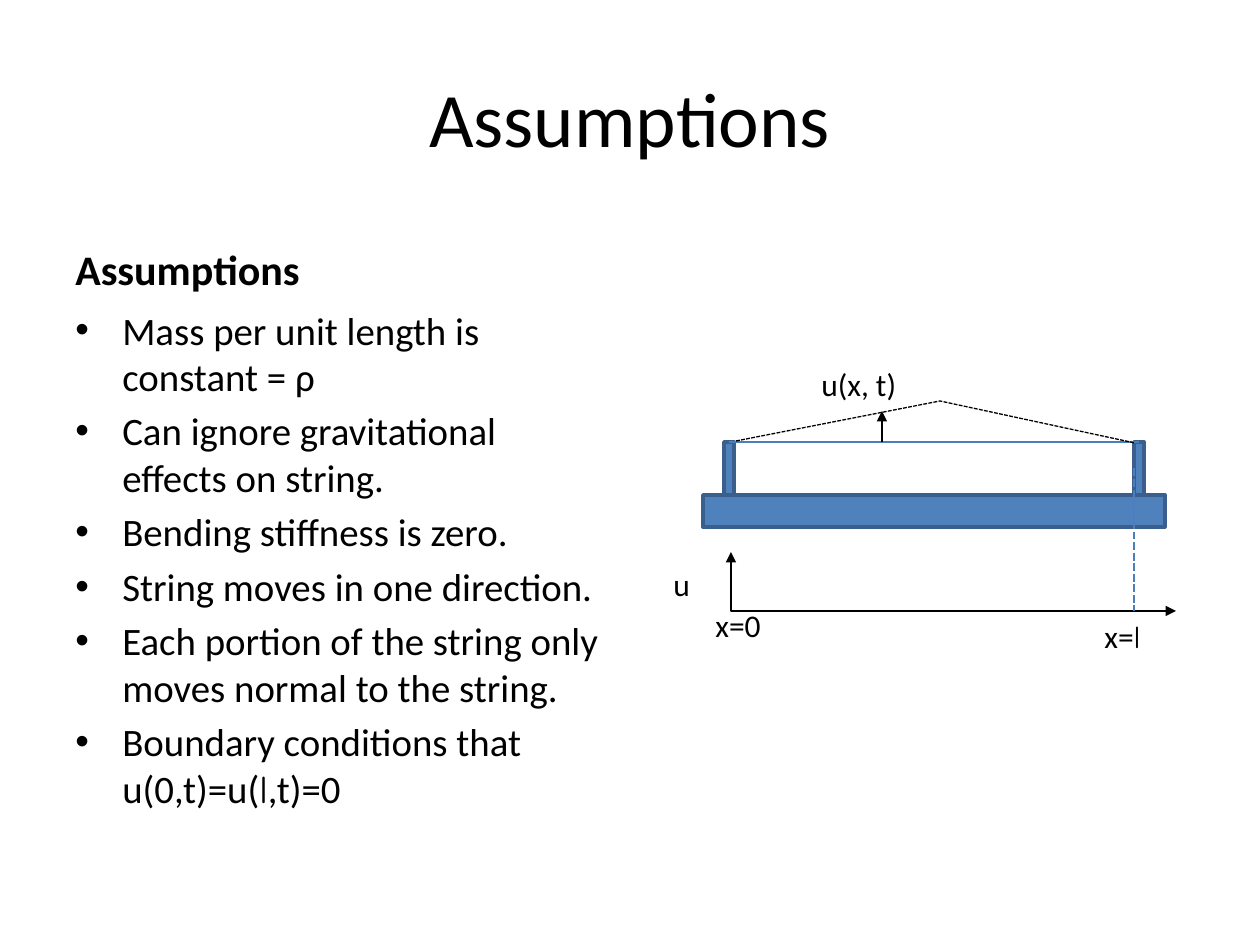
from pptx import Presentation
from pptx import util as u
from pptx.dml.color import RGBColor
from pptx.enum import dml, shapes, text
from pptx.oxml.ns import qn
from lxml import etree

PX = 914400 // 126
COLORS = {"ink": "000000", "steel": "4F81BD", "edge": "3A5F8C", "string": "4B7EBC"}
MAIN, SCRIPT = "Calibri", "Comic Neue"

# A paragraph is a list of (words, font) spans.
TITLE = [("Assumptions", MAIN)]
BULLETS = [
    [("Mass per unit length is constant = ρ", MAIN)],
    [("Can ignore gravitational effects on string.", MAIN)],
    [("Bending stiffness is zero.", MAIN)],
    [("String moves in one direction.", MAIN)],
    [("Each portion of the string only moves normal to the string.", MAIN)],
    [("Boundary conditions that u(0,t)=u(", MAIN), ("l", SCRIPT), (",t)=0", MAIN)],
]
LABELS = [
    ((703, 600, 84, 50), [("x=0", MAIN)]),
    ((1092, 611, 84, 50), [("x=", MAIN), ("l", SCRIPT)]),
    ((809, 359, 126, 50), [("u(x, t)", MAIN)]),
    ((661, 559, 63, 50), [("u", MAIN)]),
]
BASE = (703, 495, 462, 32)
POST_LEFTS, POST_TOP, POST_WIDTH, POST_HEIGHT = (724, 1134), 442, 10, 53
PLUCKED = [(736, 441), (940, 401), (1135, 443)]
AXES = [(731, 552), (731, 611), (1176, 611)]
ARROW_X, ARROW_TIP = 882, 411

deck = Presentation()
deck.slide_width, deck.slide_height = 1260 * PX, 945 * PX
page = deck.slides.add_slide(deck.slide_layouts[6])


def color(name):
    return RGBColor.from_string(COLORS[name])


def add_text(place, paragraphs, size=18, bold=False, align=text.PP_ALIGN.LEFT,
             anchor=text.MSO_ANCHOR.TOP, before=0, bullet=False):
    box = page.shapes.add_textbox(*(n * PX for n in place))
    frame = box.text_frame
    frame.word_wrap = True
    frame.vertical_anchor = anchor
    for index, spans in enumerate(paragraphs):
        para = frame.paragraphs[0] if index == 0 else frame.add_paragraph()
        para.alignment = align
        para.space_before = u.Pt(before)
        if bullet:
            props = para._p.get_or_add_pPr()
            props.set("marL", str(47 * PX))
            props.set("indent", str(-47 * PX))
            etree.SubElement(props, qn("a:buFont")).set("typeface", "Arial")
            etree.SubElement(props, qn("a:buChar")).set("char", "•")
        for words, font in spans:
            span = para.add_run()
            span.text = words
            span.font.name = font
            span.font.size = u.Pt(size)
            span.font.bold = bold
            span.font.color.rgb = color("ink")


def add_block(*place):
    block = page.shapes.add_shape(shapes.MSO_SHAPE.RECTANGLE, *(n * PX for n in place))
    block.shadow.inherit = False
    block.fill.solid()
    block.fill.fore_color.rgb = color("steel")
    style_line(block, "edge", 2)
    return block


def style_line(item, name, width=0.75, dashed=False, arrows=()):
    """Set the outline; arrows holds headEnd (start) and tailEnd (finish)."""
    item.line.color.rgb = color(name)
    item.line.width = u.Pt(width)
    if dashed:
        item.line.dash_style = dml.MSO_LINE.SQUARE_DOT
    for end in arrows:
        etree.SubElement(item.line._get_or_add_ln(), qn("a:" + end)).set("type", "triangle")


def add_line(start, finish, name, **style):
    line = page.shapes.add_connector(
        shapes.MSO_CONNECTOR.STRAIGHT, *(n * PX for n in start + finish))
    style_line(line, name, **style)
    etree.SubElement(line._element.spPr, qn("a:effectLst"))
    return line


def add_polyline(points, **style):
    (left, top), *rest = points
    builder = page.shapes.build_freeform(left, top, scale=PX)
    builder.add_line_segments(rest, close=False)
    outline = builder.convert_to_shape()
    outline.shadow.inherit = False
    outline.fill.background()
    style_line(outline, "ink", **style)


add_text((63, 38, 1134, 158), [TITLE], size=44, align=text.PP_ALIGN.CENTER,
         anchor=text.MSO_ANCHOR.MIDDLE)
add_text((63, 212, 557, 88), [TITLE], size=24, bold=True,
         anchor=text.MSO_ANCHOR.BOTTOM, before=4.8)
add_text((63, 300, 557, 544), BULLETS, size=22.2, before=4.4, bullet=True)

add_block(*BASE)
left_post, right_post = [
    add_block(left, POST_TOP, POST_WIDTH, POST_HEIGHT) for left in POST_LEFTS]

post_tops = [(left + POST_WIDTH // 2, POST_TOP) for left in POST_LEFTS]
rest_string = add_line(*post_tops, "string")
rest_string.begin_connect(left_post, 0)
rest_string.end_connect(right_post, 0)
add_polyline(PLUCKED, dashed=True)
add_line((ARROW_X, POST_TOP), (ARROW_X, ARROW_TIP), "ink", arrows=["tailEnd"])
add_polyline(AXES, arrows=["headEnd", "tailEnd"])

end_x, axis_y = POST_LEFTS[1], AXES[1][1]
end_mark = add_line((end_x, POST_TOP + POST_HEIGHT // 2), (end_x, axis_y), "string",
                    width=1.5, dashed=True)
end_mark.begin_connect(right_post, 1)

for place, spans in LABELS:
    add_text(place, [spans])

deck.save("out.pptx")
